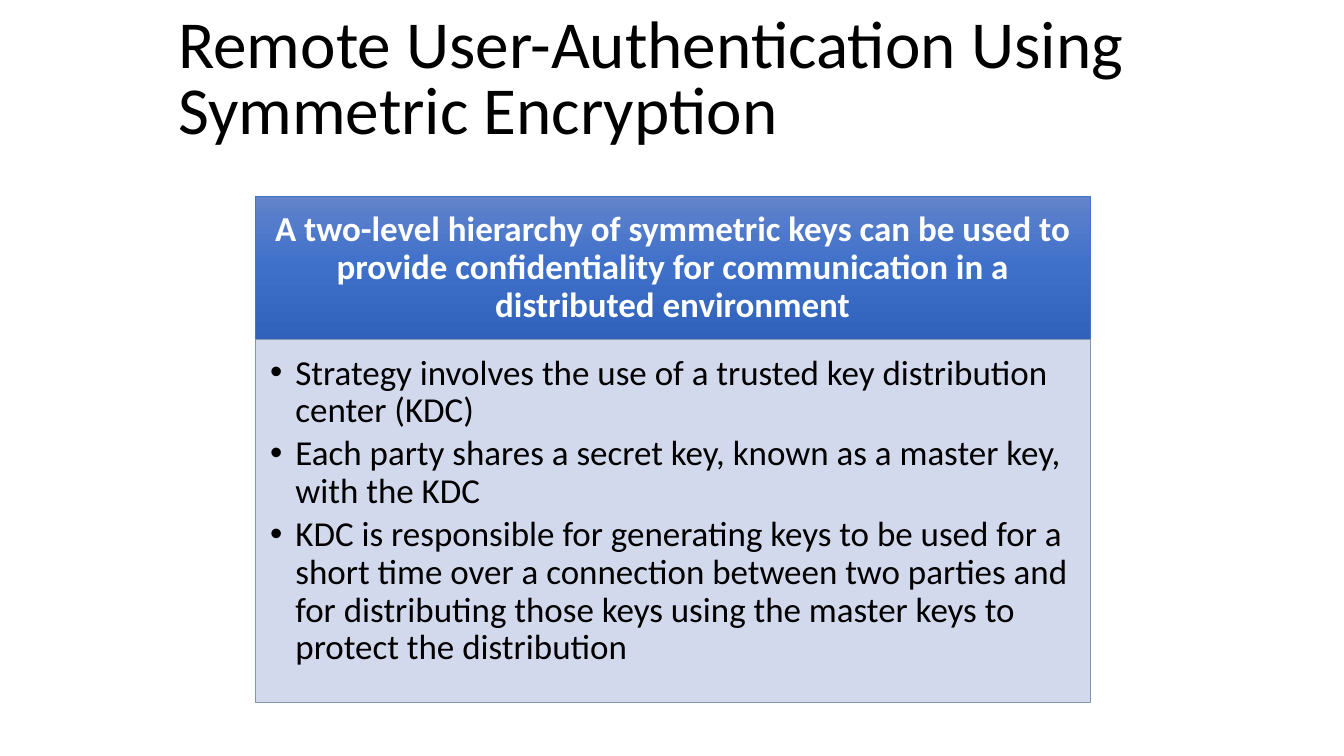
from copy import deepcopy
from dataclasses import dataclass

from lxml import etree
from pptx import Presentation
from pptx.dml.color import RGBColor
from pptx.enum.shapes import MSO_SHAPE
from pptx.enum.text import MSO_ANCHOR, PP_ALIGN
from pptx.oxml.ns import qn
from pptx.util import Inches, Pt

RECTANGLE = MSO_SHAPE.RECTANGLE
TOP, MIDDLE = MSO_ANCHOR.TOP, MSO_ANCHOR.MIDDLE
LEFT, CENTER = PP_ALIGN.LEFT, PP_ALIGN.CENTER
FONT = "Calibri"
PANEL_LEFT, PANEL_WIDTH = 2.53, 8.28
HEADER_TOP, HEADER_HEIGHT, BODY_HEIGHT = 1.95, 1.42, 3.6
HEADER_GRADIENT = ((0, "6183CB"), (0.5, "3E70CA"), (1, "3062BB"))
BULLET_INDENT = 0.25


@dataclass(frozen=True)
class TextStyle:
    size: float
    color: str
    bold: bool = False
    align: PP_ALIGN = LEFT
    anchor: MSO_ANCHOR = MIDDLE
    line_spacing: float = 0.9
    space_after: float = 0
    insets: tuple[float, float, float, float] = (0.1, 0.05, 0.1, 0.05)
    bullet: str = ""


@dataclass(frozen=True)
class Panel:
    top: float
    height: float
    line: str
    style: TextStyle
    lines: tuple[str, ...]


TITLE = "Remote User-Authentication Using Symmetric Encryption"
TITLE_STYLE = TextStyle(48, "000000", line_spacing=Pt(47))

HEADER = Panel(
    HEADER_TOP, HEADER_HEIGHT, "4472C4",
    TextStyle(25, "FFFFFF", bold=True, align=CENTER, insets=(0.19, 0.11, 0.19, 0.11)),
    ("A two-level hierarchy of symmetric keys can be used to provide "
     "confidentiality for communication in a distributed environment",),
)
BODY = Panel(
    HEADER_TOP + HEADER_HEIGHT, BODY_HEIGHT, "8497B0",
    TextStyle(25, "000000", anchor=TOP, space_after=3.75,
              insets=(0.15, 0.15, 0.19, 0.22), bullet="•"),
    ("Strategy involves the use of a trusted key distribution center (KDC)",
     "Each party shares a secret key, known as a master key, with the KDC",
     "KDC is responsible for generating keys to be used for a short time over "
     "a connection between two parties and for distributing those keys using "
     "the master keys to protect the distribution"),
)


def rgb(value: str) -> RGBColor:
    return RGBColor.from_string(value)


def set_all(target, values: dict) -> None:
    for name, value in values.items():
        setattr(target, name, value)


def add_bullet(para, character: str) -> None:
    para.level = 1
    properties = para._p.get_or_add_pPr()
    properties.set("marL", str(Inches(BULLET_INDENT)))
    properties.set("indent", str(-Inches(BULLET_INDENT)))
    etree.SubElement(properties, qn("a:buFont")).set("typeface", "Arial")
    etree.SubElement(properties, qn("a:buChar")).set("char", character)


def write_text(box, lines: tuple[str, ...], style: TextStyle) -> None:
    frame = box.text_frame
    left, top, right, bottom = map(Inches, style.insets)
    set_all(frame, {
        "word_wrap": True, "vertical_anchor": style.anchor,
        "margin_left": left, "margin_top": top,
        "margin_right": right, "margin_bottom": bottom,
    })
    for index, line in enumerate(lines):
        para = frame.add_paragraph() if index else frame.paragraphs[0]
        if style.bullet:
            add_bullet(para, style.bullet)
        set_all(para, {
            "alignment": style.align, "line_spacing": style.line_spacing,
            "space_before": Pt(0), "space_after": Pt(style.space_after),
        })
        span = para.add_run()
        span.text = line
        set_all(span.font, {"name": FONT, "size": Pt(style.size), "bold": style.bold})
        span.font.color.rgb = rgb(style.color)


def add_panel(page, panel: Panel):
    box = page.shapes.add_shape(
        RECTANGLE, Inches(PANEL_LEFT), Inches(panel.top),
        Inches(PANEL_WIDTH), Inches(panel.height))
    box.shadow.inherit = False
    box.line.color.rgb = rgb(panel.line)
    box.line.width = Pt(0.5)
    write_text(box, panel.lines, panel.style)
    return box


def fill_downward(box, colors: tuple[tuple[float, str], ...]) -> None:
    """Fill the box with a gradient that runs from top to bottom."""
    box.fill.gradient()
    box.fill.gradient_angle = 270
    stop_list = box._element.spPr.find(f".//{qn('a:gsLst')}")
    while len(stop_list) < len(colors):
        stop_list.append(deepcopy(stop_list[-1]))
    for stop, (position, color) in zip(box.fill.gradient_stops, colors):
        stop.position = position
        stop.color.rgb = rgb(color)


def fill_translucent(box, color: str, opacity: int) -> None:
    """Fill the box with a colour at an opacity given in percent."""
    box.fill.solid()
    box.fill.fore_color.rgb = rgb(color)
    color_element = box._element.spPr.find(f"{qn('a:solidFill')}/{qn('a:srgbClr')}")
    etree.SubElement(color_element, qn("a:alpha")).set("val", str(opacity * 1000))


def main() -> None:
    deck = Presentation()
    deck.slide_width, deck.slide_height = Inches(13.33), Inches(7.5)
    page = deck.slides.add_slide(deck.slide_layouts[6])

    title = page.shapes.add_textbox(Inches(1.67), Inches(0.04), Inches(10), Inches(1.55))
    write_text(title, (TITLE,), TITLE_STYLE)
    fill_downward(add_panel(page, HEADER), HEADER_GRADIENT)
    fill_translucent(add_panel(page, BODY), "CFD5EA", 90)

    deck.save("out.pptx")


if __name__ == "__main__":
    main()
